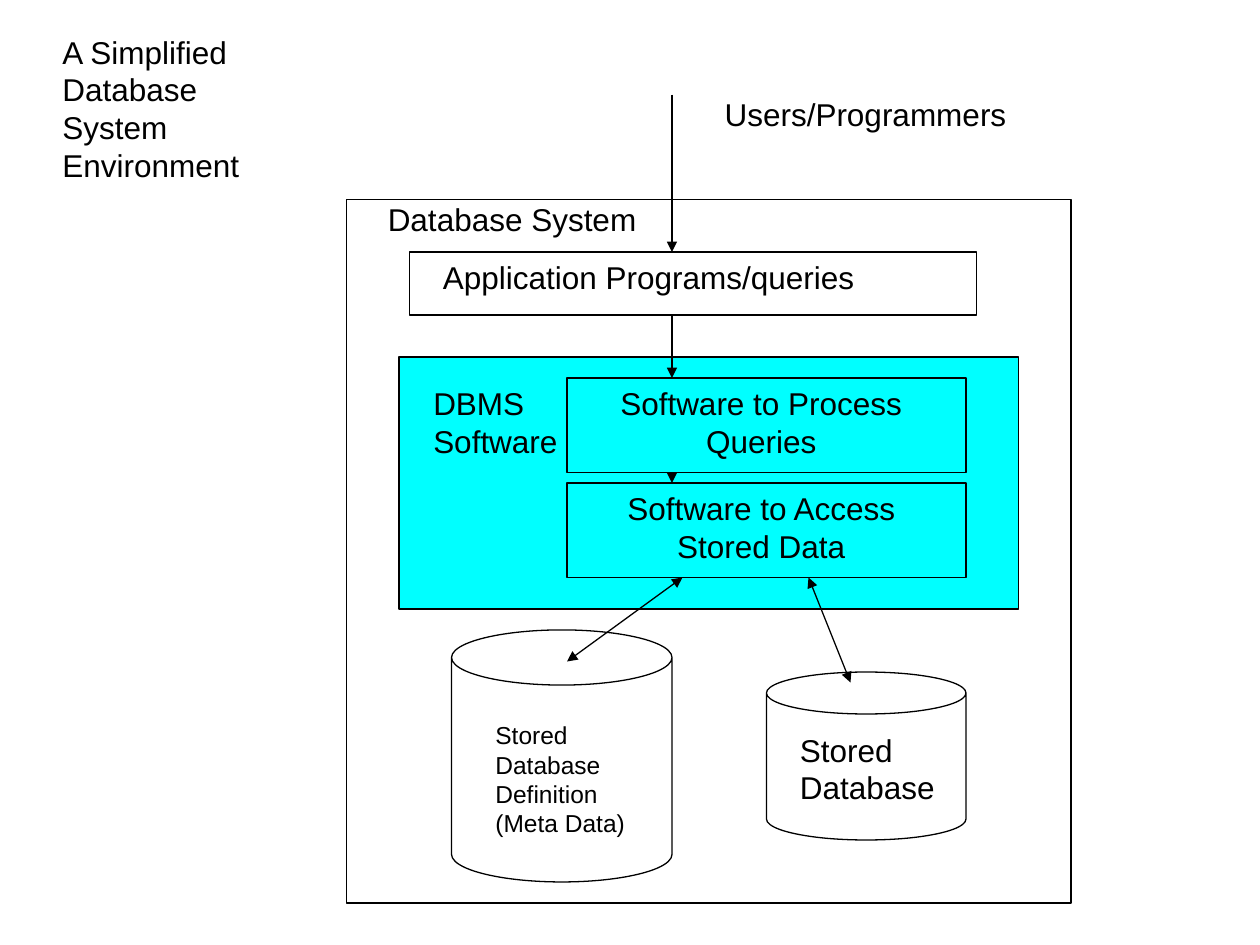
from dataclasses import dataclass

from lxml.etree import SubElement
from pptx import Presentation
from pptx.dml.color import RGBColor
from pptx.enum.shapes import MSO_CONNECTOR, MSO_SHAPE
from pptx.enum.text import MSO_ANCHOR as Anchor, MSO_AUTO_SIZE as AutoSize, PP_ALIGN as Align
from pptx.oxml.ns import qn
from pptx.util import Pt


@dataclass(frozen=True)
class Theme:
    font: str = "Arial"
    ink: RGBColor = RGBColor(0, 0, 0)
    software: RGBColor = RGBColor(0, 255, 255)
    body: float = 18
    small: float = 14
    stroke: float = 0.75


class Diagram:
    """Draws on one slide; all lengths are in points."""

    def __init__(self, slide, theme):
        self.slide = slide
        self.theme = theme

    def fill_text(self, box, lines, size=None, align=Align.LEFT, wrap=False):
        frame = box.text_frame
        frame.word_wrap = wrap
        frame.auto_size = AutoSize.NONE
        frame.vertical_anchor = Anchor.TOP
        for index, line in enumerate(lines):
            para = frame.add_paragraph() if index else frame.paragraphs[0]
            para.alignment = align
            span = para.add_run()
            span.text = line
            span.font.name = self.theme.font
            span.font.size = Pt(size or self.theme.body)
            span.font.color.rgb = self.theme.ink

    def title(self, lines, left, top, width, height):
        box = self.slide.shapes.title
        box.left, box.top, box.width, box.height = map(Pt, (left, top, width, height))
        self.fill_text(box, lines)

    def label(self, lines, left, top, width, height, **style):
        box = self.slide.shapes.add_textbox(*map(Pt, (left, top, width, height)))
        self.fill_text(box, lines, **style)

    def shape(self, left, top, width, height, kind=MSO_SHAPE.RECTANGLE, fill=None):
        box = self.slide.shapes.add_shape(kind, *map(Pt, (left, top, width, height)))
        box.shadow.inherit = False
        if fill is None:
            box.fill.background()
        else:
            box.fill.solid()
            box.fill.fore_color.rgb = fill
        box.line.color.rgb = self.theme.ink
        box.line.width = Pt(self.theme.stroke)
        return box

    def cylinder(self, left, top, width, height):
        self.shape(left, top, width, height, MSO_SHAPE.CAN).adjustments[0] = 0.25

    def arrow(self, start, end, both_ways=False):
        link = self.slide.shapes.add_connector(
            MSO_CONNECTOR.STRAIGHT, *map(Pt, (*start, *end)))
        link.line.color.rgb = self.theme.ink
        link.line.width = Pt(self.theme.stroke)
        outline = link.get_or_add_ln()
        for tag in ("a:headEnd", "a:tailEnd") if both_ways else ("a:tailEnd",):
            SubElement(outline, qn(tag), type="triangle")
        SubElement(link.element.spPr, qn("a:effectLst"))


def main():
    deck = Presentation()
    deck.slide_width, deck.slide_height = Pt(720), Pt(540)
    page = deck.slides.add_slide(deck.slide_layouts[5])
    theme = Theme()
    diagram = Diagram(page, theme)

    diagram.title(["A Simplified", "Database System", "Environment"], 28.5, 15, 156, 72)

    # Database system frame and its stores
    diagram.shape(198, 114, 414, 402)
    diagram.cylinder(438, 384, 114, 96)
    diagram.cylinder(258, 360, 126, 144)
    diagram.label(["Stored", "Database"], 450, 414, 91.5, 50.5)
    diagram.label(["Stored", "Database", "Definition", "(Meta Data)"],
                  276, 408, 88.5, 75, size=theme.small)

    # DBMS software and application programs
    diagram.shape(228, 204, 354, 144, fill=theme.software)
    diagram.label(["DBMS", "Software"], 240.5, 216, 85, 50.5)
    diagram.shape(234, 144, 324, 36)
    diagram.label(["Application Programs/queries"], 246, 144, 249, 29)

    # Software layers
    layers = [
        (216, ["Software to Process", "Queries"]),
        (276, ["Software to Access Stored Data"]),
    ]
    for top, lines in layers:
        diagram.shape(324, top, 228, 54)
        diagram.label(lines, 324, top, 222, 50.5, align=Align.CENTER, wrap=True)

    # Requests pass down through the layers
    for start, end in ((54, 144), (180, 216), (270, 276)):
        diagram.arrow((384, start), (384, end))

    # Two-way access to the stores
    diagram.arrow((324, 378), (390, 330), both_ways=True)
    diagram.arrow((462, 330), (486, 390), both_ways=True)

    # Captions
    diagram.label(["Users/Programmers"], 407, 51, 175, 29)
    diagram.label(["Database System"], 214.5, 111, 156, 29)

    deck.save("out.pptx")


if __name__ == "__main__":
    main()
